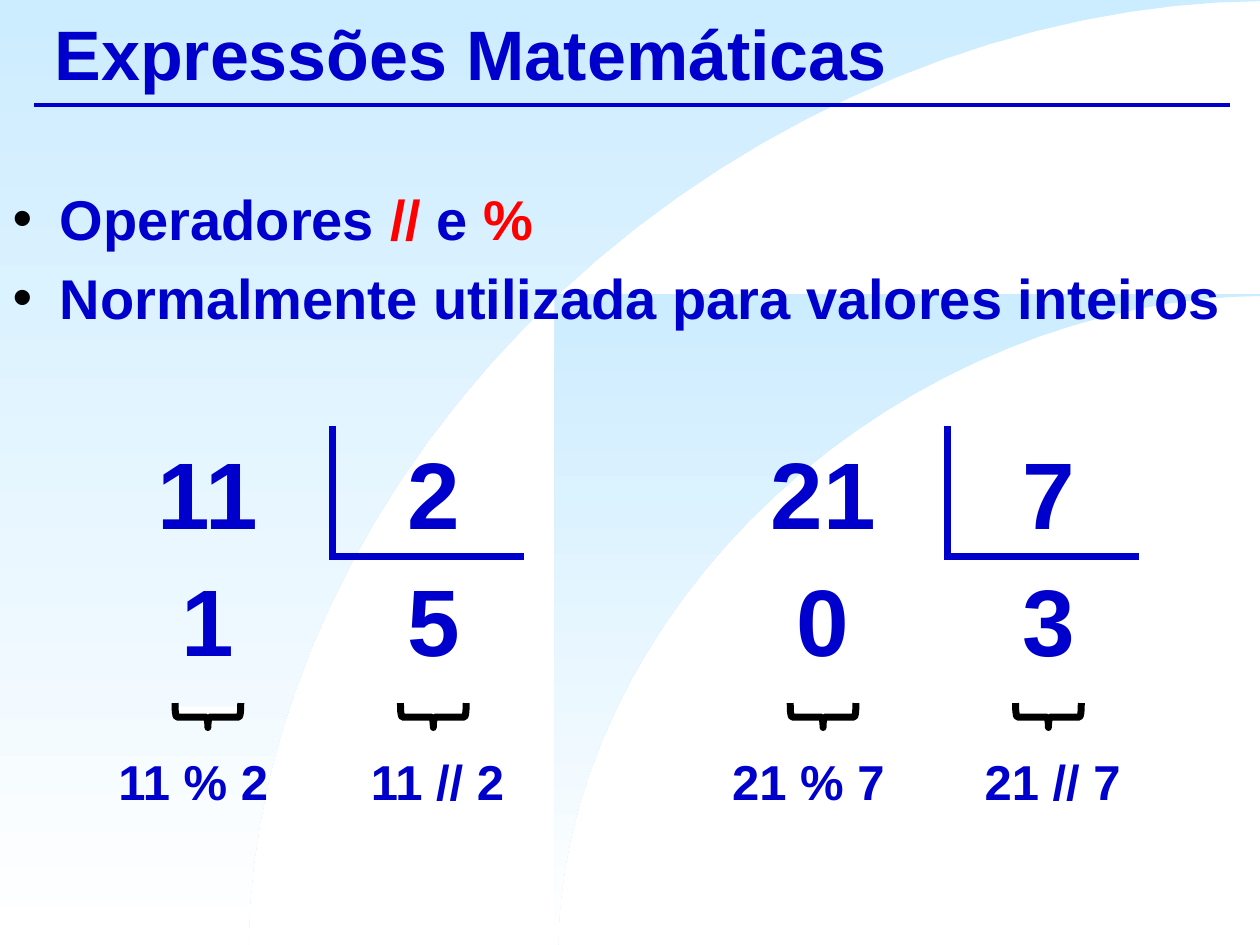
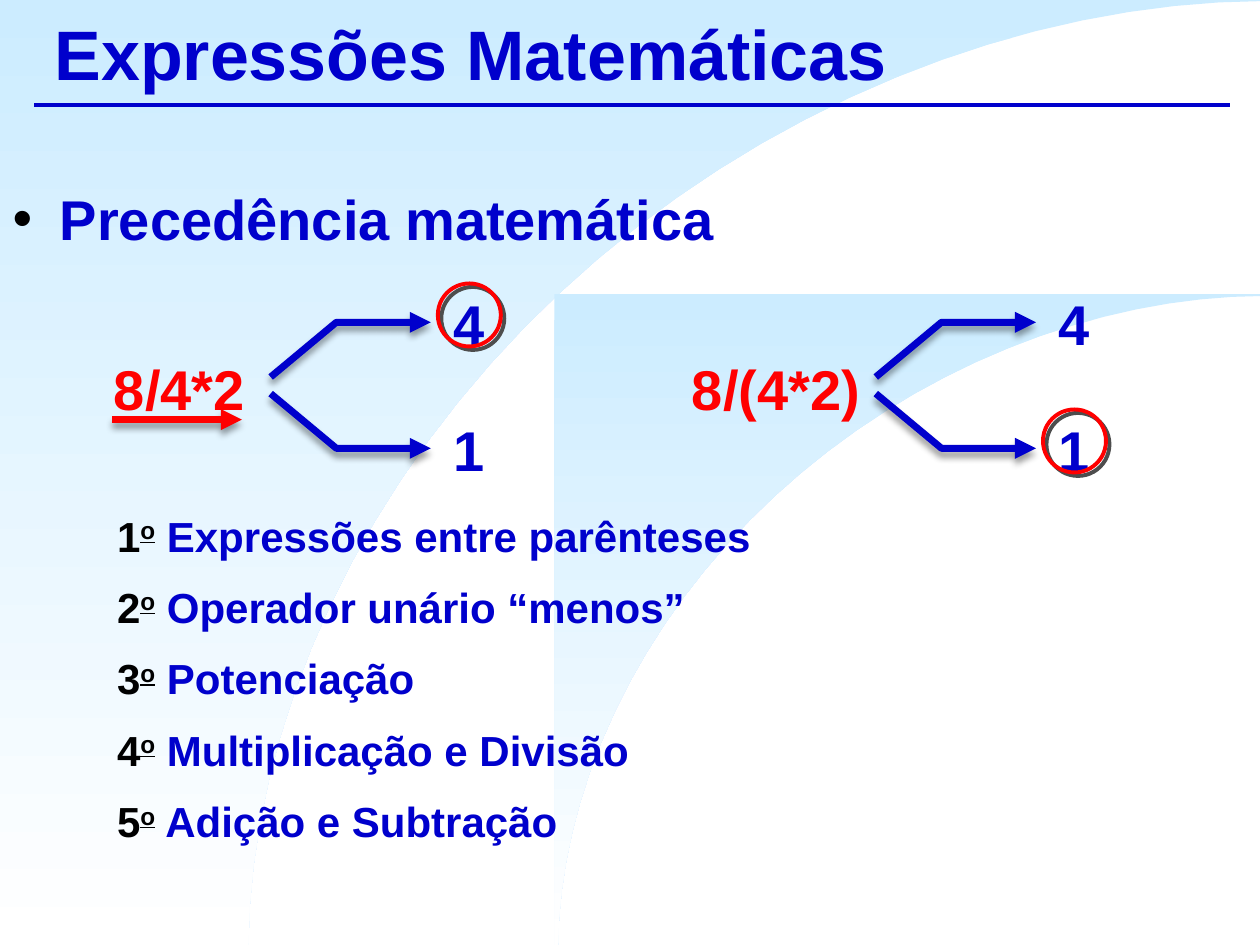
"""Builds two slides on integer division and operator precedence."""
import math

import lxml.etree
import pptx
import pptx.dml.color
import pptx.enum.shapes
import pptx.enum.text
import pptx.oxml.ns
import pptx.util

Pt = pptx.util.Pt
qn = pptx.oxml.ns.qn
ALIGN = pptx.enum.text.PP_ALIGN
SHAPE = pptx.enum.shapes.MSO_SHAPE

COLORS = {
    "ink": "0000CC",
    "accent": "FF0000",
    "sky": "CCECFF",
    "white": "FFFFFF",
    "black": "000000",
    "gray": "4D4D4D",
}
FONT = "Arial"
PAGE_WIDTH, PAGE_HEIGHT = 720, 540
SOFT_SHADOW = {"color": "black", "alpha": 40, "blur": 4, "distance": 3, "angle": 90}
HARD_SHADOW = {"color": "gray", "alpha": 100, "blur": 0, "distance": 2.8, "angle": 45}


def rgb(name):
    return pptx.dml.color.RGBColor.from_string(COLORS[name])


def write(paragraph, text, size=32, color="ink", underline=None, baseline=None):
    run = paragraph.add_run()
    run.text = text
    run.font.name = FONT
    run.font.size = Pt(size)
    run.font.bold = True
    run.font.underline = underline
    run.font.color.rgb = rgb(color)
    if baseline:
        run.font._element.set("baseline", str(baseline * 1000))


def text_box(slide, left, top, width, height):
    frame = slide.shapes.add_textbox(Pt(left), Pt(top), Pt(width), Pt(height)).text_frame
    frame.word_wrap = False
    frame.auto_size = pptx.enum.text.MSO_AUTO_SIZE.SHAPE_TO_FIT_TEXT
    return frame


def centered_text(slide, text, center, top, width, height, spacing=None, **text_format):
    paragraph = text_box(slide, center - width / 2, top, width, height).paragraphs[0]
    paragraph.alignment = ALIGN.CENTER
    paragraph.line_spacing = spacing
    write(paragraph, text, **text_format)


def set_shadow(shape, shadow):
    properties = shape.element.spPr
    effects = lxml.etree.SubElement(properties, qn("a:effectLst"))
    if not shadow:
        return
    outer = lxml.etree.SubElement(
        effects, qn("a:outerShdw"),
        blurRad=str(Pt(shadow["blur"])), dist=str(Pt(shadow["distance"])),
        dir=str(shadow["angle"] * 60000), algn="ctr", rotWithShape="0")
    tint = lxml.etree.SubElement(outer, qn("a:srgbClr"), val=COLORS[shadow["color"]])
    lxml.etree.SubElement(tint, qn("a:alpha"), val=str(shadow["alpha"] * 1000))


def set_outline(shape, color, weight, cap="flat", arrow=False, shadow=None):
    shape.line.color.rgb = rgb(color)
    shape.line.width = Pt(weight)
    outline = shape.element.spPr.find(qn("a:ln"))
    outline.set("cap", cap)
    if arrow:
        lxml.etree.SubElement(outline, qn("a:tailEnd"), type="triangle")
    set_shadow(shape, shadow)


def straight_line(slide, start, end, color="ink", weight=4, cap="sq", **outline):
    line = slide.shapes.add_connector(
        pptx.enum.shapes.MSO_CONNECTOR.STRAIGHT, *map(Pt, start + end))
    set_outline(line, color, weight, cap, **outline)
    return line


def freeform(slide, points, close):
    first, *rest = [(Pt(x), Pt(y)) for x, y in points]
    builder = slide.shapes.build_freeform(*first)
    builder.add_line_segments(rest, close=close)
    return builder.convert_to_shape()


def sky_panel(slide, left, top, radius_x, radius_y, steps=32, exponent=1.88):
    arc = []
    for step in range(steps + 1):
        angle = math.pi / 2 * step / steps
        arc.append((PAGE_WIDTH - radius_x * math.cos(angle) ** (2 / exponent),
                    PAGE_HEIGHT - radius_y * math.sin(angle) ** (2 / exponent)))
    corners = [(PAGE_WIDTH, top), (left, top), (left, PAGE_HEIGHT)]
    panel = freeform(slide, arc + corners, close=True)
    panel.fill.gradient()
    panel.fill.gradient_angle = 270
    for stop, color in zip(panel.fill.gradient_stops, ("sky", "white")):
        stop.color.rgb = rgb(color)
    panel.line.fill.background()
    set_shadow(panel, None)
    return panel


def decorate_master(presentation, slide):
    decorations = [
        sky_panel(slide, 0, 0, 578, 539.3),
        sky_panel(slide, 316.8, 167.8, 401, 370.8),
        straight_line(slide, (19.5, 60.2), (703, 60.2), weight=2.25, cap="flat"),
    ]
    master_tree = presentation.slide_master.shapes.element
    for position, decoration in enumerate(decorations):
        decoration.element.xpath(".//p:cNvPr")[0].set("id", str(101 + position))
        master_tree.insert(2 + position, decoration.element)


def place(placeholder, left, top, width, height):
    placeholder.left, placeholder.top = Pt(left), Pt(top)
    placeholder.width, placeholder.height = Pt(width), Pt(height)
    placeholder.text_frame.auto_size = pptx.enum.text.MSO_AUTO_SIZE.NONE
    return placeholder.text_frame


def add_slide(presentation):
    slide = presentation.slides.add_slide(presentation.slide_layouts[1])
    heading = place(slide.shapes.title, 24, 0, 678, 60).paragraphs[0]
    heading.alignment = ALIGN.LEFT
    write(heading, "Expressões Matemáticas", size=40)
    return slide


def bullet_list(slide, items, width, height):
    frame = place(slide.placeholders[1], 0, 102, width, height)
    for index, item in enumerate(items):
        paragraph = frame.add_paragraph() if index else frame.paragraphs[0]
        for text, color in item:
            write(paragraph, text, color=color)
        properties = paragraph._p.get_or_add_pPr()
        bullet_color = lxml.etree.SubElement(properties, qn("a:buClr"))
        lxml.etree.SubElement(bullet_color, qn("a:srgbClr"), val=COLORS["black"])


def brace(slide, center):
    width, height = 12, 37.5
    shape = slide.shapes.add_shape(
        SHAPE.RIGHT_BRACE, Pt(center - width / 2), Pt(391), Pt(width), Pt(height))
    shape.rotation = 90
    shape.fill.solid()
    shape.fill.fore_color.rgb = rgb("white")
    set_outline(shape, "black", 4, cap="sq")


def division(slide, bar, dividend, divisor):
    top, base = 245.5, 318.2
    quotient, remainder = divmod(dividend, divisor)
    columns = [
        (bar - 71.2, bar - 79.6, dividend, remainder, "%", 104),
        (bar + 57.6, bar + 60, divisor, quotient, "//", 94),
    ]
    for center, label_center, upper, lower, operator, label_width in columns:
        brace(slide, center)
        centered_text(slide, f"{dividend} {operator} {divisor}", label_center,
                      425.8, label_width, 41, size=28)
        for number, number_top in ((upper, top - 0.4), (lower, base - 0.4)):
            width = 14.8 + 30 * len(str(number))
            centered_text(slide, str(number), center, number_top, width, 72.7, size=54)
    straight_line(slide, (bar, top), (bar, base))
    straight_line(slide, (bar, base), (bar + 107.5, base))


def fork(slide, left, expression, expression_center, expression_width, answers, correct):
    middle = 220.2
    centered_text(slide, expression, expression_center, 191.5, expression_width, 49.7,
                  spacing=1.2, color="accent")
    for answer, side, answer_top in zip(answers, (-1, 1), (154, 226)):
        end = middle + side * 36
        branch = freeform(
            slide, [(left, middle + side * 6), (left + 36, end), (left + 90, end)], close=False)
        branch.fill.background()
        set_outline(branch, "ink", 4, cap="sq", arrow=True, shadow=SOFT_SHADOW)
        center = left + 112
        centered_text(slide, answer, center, answer_top, 32.4, 49.7, spacing=1.2)
        if answer == correct:
            ring = slide.shapes.add_shape(
                SHAPE.OVAL, Pt(center - 18), Pt(answer_top + 8), Pt(36), Pt(36))
            ring.fill.background()
            set_outline(ring, "accent", 2.25, shadow=HARD_SHADOW)


def precedence_list(slide, rules):
    frame = text_box(slide, 59.8, 288, 381.6, 211)
    for rank, rule in enumerate(rules, 1):
        paragraph = frame.add_paragraph() if rank > 1 else frame.paragraphs[0]
        paragraph.space_after = Pt(12)
        write(paragraph, str(rank), size=24, color="black")
        write(paragraph, "o", size=24, color="black", underline=True, baseline=30)
        write(paragraph, f" {rule}", size=24)


def main():
    presentation = pptx.Presentation()
    presentation.slide_width, presentation.slide_height = Pt(PAGE_WIDTH), Pt(PAGE_HEIGHT)

    operators = add_slide(presentation)
    decorate_master(presentation, operators)
    bullet_list(operators, [
        [("Operadores ", "ink"), ("// ", "accent"), ("e ", "ink"), ("%", "accent")],
        [("Normalmente utilizada para valores inteiros", "ink")],
    ], 720, 108)
    division(operators, 190, 11, 2)
    division(operators, 541.5, 21, 7)

    precedence = add_slide(presentation)
    bullet_list(precedence, [[("Precedência matemática", "ink")]], 594.7, 54.7)
    fork(precedence, 156.2, "8/4*2", 102.5, 90, ("4", "1"), correct="4")
    straight_line(precedence, (66.2, 239.8), (138.2, 239.8), color="accent",
                  arrow=True, shadow=SOFT_SHADOW)
    fork(precedence, 502, "8/(4*2)", 443.5, 112, ("4", "1"), correct="1")
    precedence_list(precedence, [
        "Expressões entre parênteses",
        "Operador unário “menos”",
        "Potenciação",
        "Multiplicação e Divisão",
        "Adição e Subtração",
    ])

    presentation.save("out.pptx")


if __name__ == "__main__":
    main()
